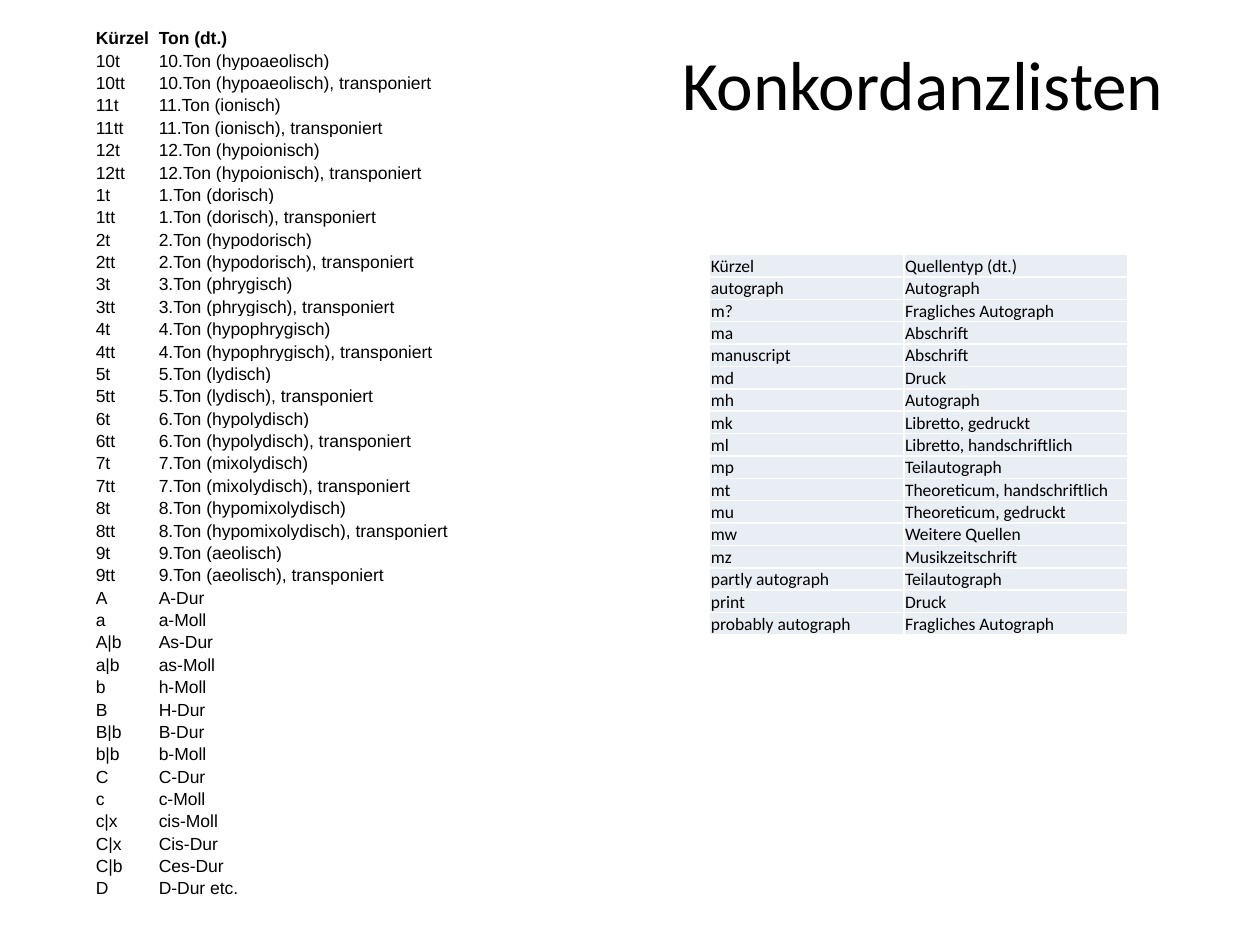
from dataclasses import dataclass
from lxml.etree import SubElement as Sub
from pptx import Presentation
from pptx.dml.color import RGBColor as Color
from pptx.enum.text import MSO_ANCHOR as Anchor, PP_ALIGN as Align
from pptx.oxml.ns import qn
from pptx.util import Pt


@dataclass(frozen=True)
class Theme:
    ink: str = "000000"
    pale: str = "E9EDF4"
    rule: str = "FFFFFF"
    head: str = "Calibri"
    body: str = "Arial"
    big: float = 39.6
    small: float = 10


class Page:
    def __init__(self, deck, theme):
        self.theme = theme
        self.slide = deck.slides.add_slide(deck.slide_layouts[6])

    def run(self, para, text, font, size, bold=False):
        run = para.add_run()
        run.text = text
        run.font.name = font
        run.font.size = Pt(size)
        run.font.bold = bold
        run.font.color.rgb = Color.from_string(self.theme.ink)

    def title(self, text, left, top, width, height):
        box = self.slide.shapes.add_textbox(Pt(left), Pt(top), Pt(width), Pt(height))
        frame = box.text_frame
        frame.word_wrap = True
        frame.vertical_anchor = Anchor.MIDDLE
        para = frame.paragraphs[0]
        para.alignment = Align.RIGHT
        self.run(para, text, self.theme.head, self.theme.big)

    def edges(self, cell, color):
        props = cell._tc.get_or_add_tcPr()
        for spot, side in enumerate(("lnL", "lnR", "lnT", "lnB")):
            line = props.makeelement(qn(f"a:{side}"), {"w": str(Pt(1))})
            fill = Sub(line, qn("a:solidFill"))
            Sub(fill, qn("a:srgbClr"), val=color)
            props.insert(spot, line)

    def table(self, rows, left, top, widths, height, font, fill=None, bold=False):
        frame = self.slide.shapes.add_table(
            len(rows), len(widths), Pt(left), Pt(top),
            Pt(sum(widths)), Pt(height * len(rows)))
        grid = frame.table
        grid.first_row = grid.horz_banding = False
        for col, width in zip(grid.columns, widths):
            col.width = Pt(width)
        for i, row in enumerate(rows):
            grid.rows[i].height = Pt(height)
            for j, text in enumerate(row):
                cell = grid.cell(i, j)
                cell.margin_left = cell.margin_right = cell.margin_top = Pt(0.75)
                cell.margin_bottom = 0
                cell.vertical_anchor = Anchor.BOTTOM
                if fill:
                    cell.fill.solid()
                    cell.fill.fore_color.rgb = Color.from_string(fill)
                    self.edges(cell, self.theme.rule)
                else:
                    cell.fill.background()
                self.run(cell.text_frame.paragraphs[0], text, font,
                         self.theme.small, bold and i == 0)


# Source types
SOURCES = [
    ("Kürzel", "Quellentyp (dt.)"),
    ("autograph", "Autograph"),
    ("m?", "Fragliches Autograph"),
    ("ma", "Abschrift"),
    ("manuscript", "Abschrift"),
    ("md", "Druck"),
    ("mh", "Autograph"),
    ("mk", "Libretto, gedruckt"),
    ("ml", "Libretto, handschriftlich"),
    ("mp", "Teilautograph"),
    ("mt", "Theoreticum, handschriftlich"),
    ("mu", "Theoreticum, gedruckt"),
    ("mw", "Weitere Quellen"),
    ("mz", "Musikzeitschrift"),
    ("partly autograph", "Teilautograph"),
    ("print", "Druck"),
    ("probably autograph", "Fragliches Autograph"),
]

# Church modes, each followed by its transposed form
MODES = [
    (10, "hypoaeolisch"), (11, "ionisch"), (12, "hypoionisch"),
    (1, "dorisch"), (2, "hypodorisch"), (3, "phrygisch"),
    (4, "hypophrygisch"), (5, "lydisch"), (6, "hypolydisch"),
    (7, "mixolydisch"), (8, "hypomixolydisch"), (9, "aeolisch"),
]

# Major and minor keys
KEYS = [
    ("A", "A-Dur"), ("a", "a-Moll"), ("A|b", "As-Dur"), ("a|b", "as-Moll"),
    ("b", "h-Moll"), ("B", "H-Dur"), ("B|b", "B-Dur"), ("b|b", "b-Moll"),
    ("C", "C-Dur"), ("c", "c-Moll"), ("c|x", "cis-Moll"), ("C|x", "Cis-Dur"),
    ("C|b", "Ces-Dur"), ("D", "D-Dur etc."),
]


def tones():
    rows = [("Kürzel", "Ton (dt.)")]
    for num, name in MODES:
        for code, tail in (("t", ""), ("tt", ", transponiert")):
            rows.append((f"{num}{code}", f"{num}.Ton ({name}){tail}"))
    return rows + KEYS


def main():
    deck = Presentation()
    deck.slide_width, deck.slide_height = Pt(720), Pt(540)
    theme = Theme()
    page = Page(deck, theme)
    page.title("Konkordanzlisten", 36, 21.6, 636, 52)
    page.table(SOURCES, 405.5, 145.5, (111, 128), 12.75, theme.head, fill=theme.pale)
    page.table(tones(), 54, 15, (36, 208), 12.79, theme.body, bold=True)
    deck.save("out.pptx")


if __name__ == "__main__":
    main()
